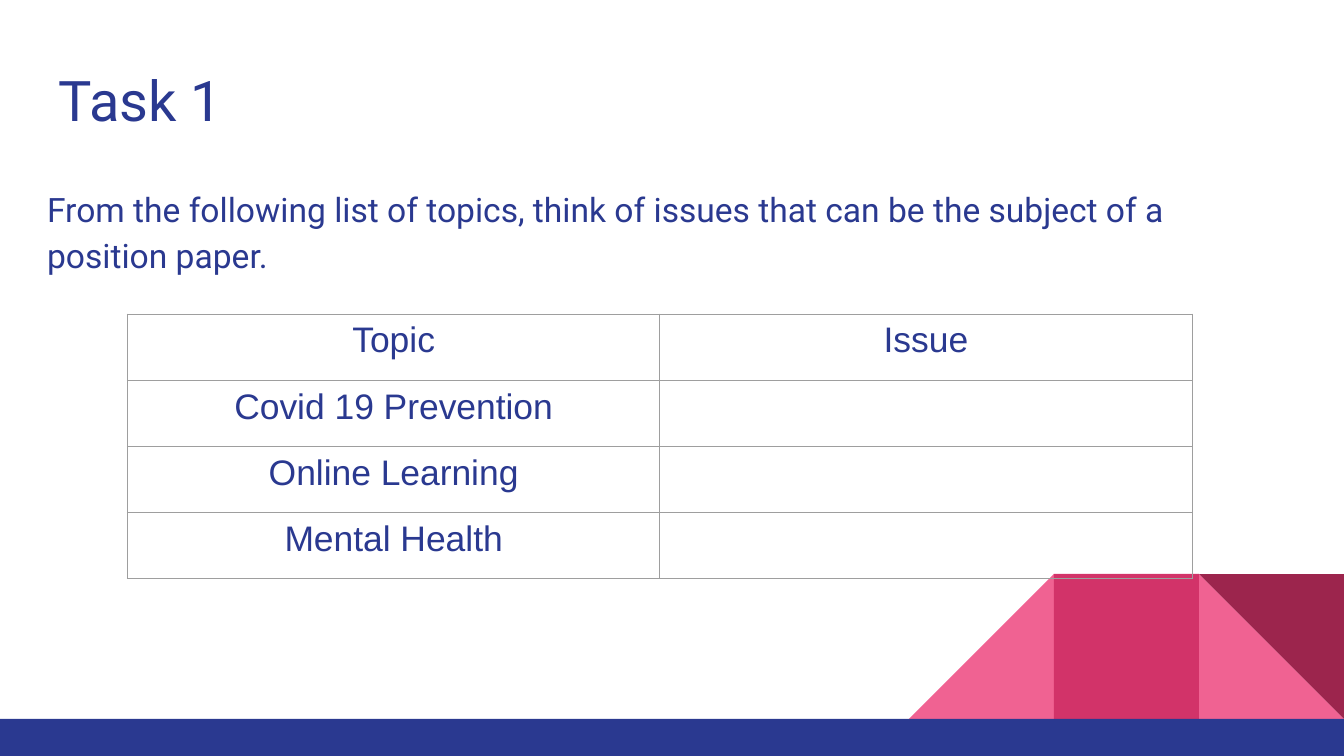
"""Build the Task 1 slide: a prompt, a topic and issue table, and a geometric footer."""
from lxml import etree
from pptx import Presentation
from pptx import util as u
from pptx.dml.color import RGBColor
from pptx.enum import shapes, text
from pptx.oxml.ns import qn

NAVY, PINK, ROSE, WINE, GREY = "2A3990", "F06292", "D23369", "9C254D", "9E9E9E"


def paint(fill, colour):
    fill.solid()
    fill.fore_color.rgb = RGBColor.from_string(colour)


def write(frame, words, font, size, align, spacing=1.0):
    frame.text = words
    para = frame.paragraphs[0]
    para.alignment, para.line_spacing = align, spacing
    para.space_before = u.Pt(0)
    span = para.runs[0]
    span.font.name, span.font.size = font, u.Pt(size)
    paint(span.font.fill, NAVY)
    return para


deck = Presentation()
deck.slide_width, deck.slide_height = u.Cm(25.4), u.Cm(14.29)
page = deck.slides.add_slide(deck.slide_layouts[1])
title, body = page.placeholders

side, top, floor = 2.74, 10.85, 13.59
triangle, block = shapes.MSO_SHAPE.RIGHT_TRIANGLE, shapes.MSO_SHAPE.RECTANGLE
footer = [
    (triangle, 22.66, top, side, side, PINK),
    (triangle, 17.18, top, side, side, PINK),
    (block, 19.92, top, side, side, ROSE),
    (triangle, 22.66, top, side, side, WINE),
    (block, 0, floor, 25.4, 0.7, NAVY),
]
pieces = []
for kind, left, upper, width, height, colour in footer:
    piece = page.shapes.add_shape(kind, u.Cm(left), u.Cm(upper), u.Cm(width), u.Cm(height))
    piece.shadow.inherit = False
    paint(piece.fill, colour)
    piece.line.fill.background()
    pieces.append(piece)
pieces[1].element.spPr.find(qn("a:xfrm")).set("flipH", "1")
pieces[3].rotation = 180

topics = ["Covid 19 Prevention", "Online Learning", "Mental Health"]
rows = [("Topic", "Issue")] + [(topic, "") for topic in topics]
table_frame = page.shapes.add_table(len(rows), 2, u.Cm(2.41), u.Cm(5.94), u.Cm(20.12), u.Cm(5))
table = table_frame.table
table.first_row = table.horz_banding = False
for row, words in enumerate(rows):
    for column, label in enumerate(words):
        cell = table.cell(row, column)
        if label:
            write(cell.text_frame, label, "Arial", 19, text.PP_ALIGN.CENTER)
        properties = cell._tc.get_or_add_tcPr()
        for edge in ("a:lnL", "a:lnR", "a:lnT", "a:lnB"):
            line = etree.SubElement(properties, qn(edge), w=str(u.Pt(0.75)))
            solid = etree.SubElement(line, qn("a:solidFill"))
            etree.SubElement(solid, qn("a:srgbClr"), val=GREY)
        cell.fill.background()

prompt = "From the following list of topics, think of issues that can be the subject of a position paper."
blocks = [
    (title, 0.86, 1.14, 1.68, "Task 1", 30, text.PP_ALIGN.JUSTIFY, 0.9),
    (body, 0.64, 3.2, 9.27, prompt, 18, text.PP_ALIGN.LEFT, 1.15),
]
for box, left, upper, height, words, size, align, spacing in blocks:
    box.left, box.top = u.Cm(left), u.Cm(upper)
    box.width, box.height = u.Cm(23.67), u.Cm(height)
    frame = box.text_frame
    frame.margin_left = frame.margin_right = frame.margin_top = frame.margin_bottom = u.Cm(0.25)
    frame.word_wrap, frame.auto_size = True, text.MSO_AUTO_SIZE.NONE
    frame.vertical_anchor = text.MSO_ANCHOR.TOP
    para = write(frame, words, "Roboto", size, align, spacing)
    settings = para._p.get_or_add_pPr()
    settings.set("marL", "0")
    settings.set("indent", "0")
    etree.SubElement(settings, qn("a:buNone"))
    table_frame.element.addprevious(box.element)

deck.save("out.pptx")
